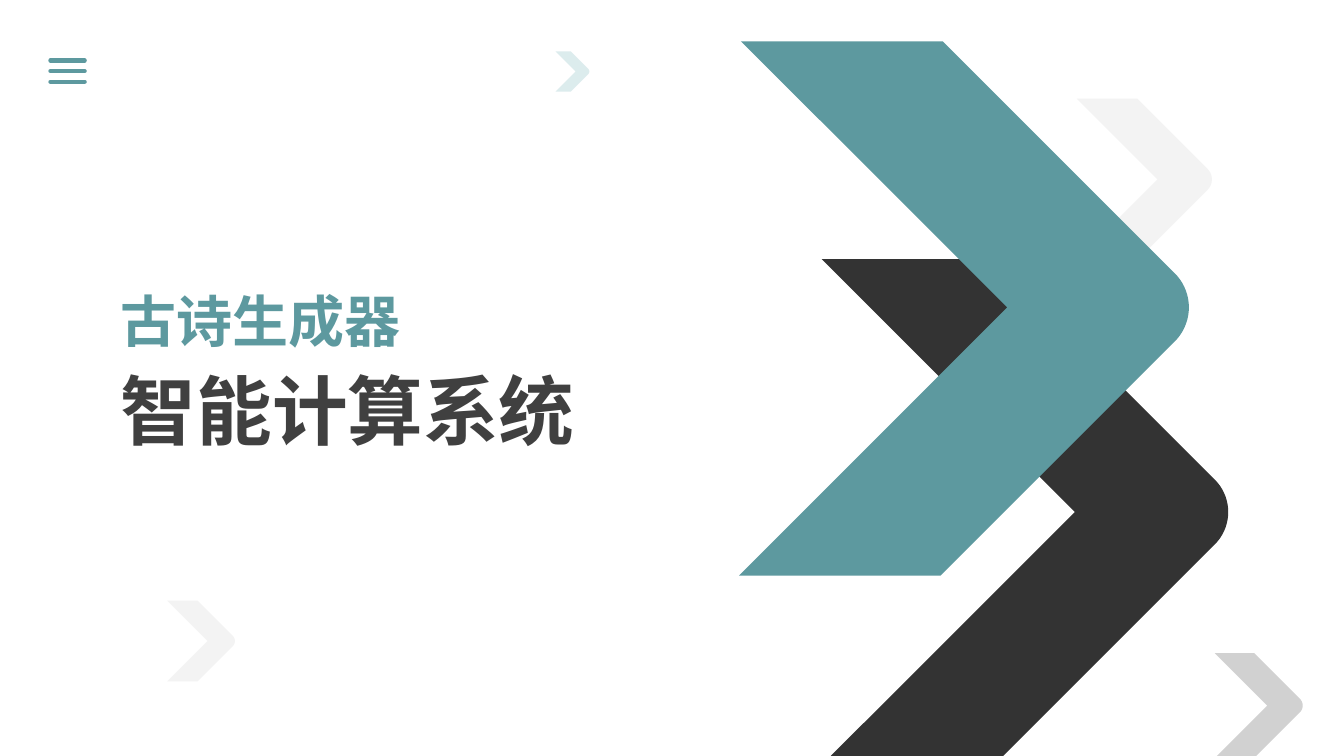
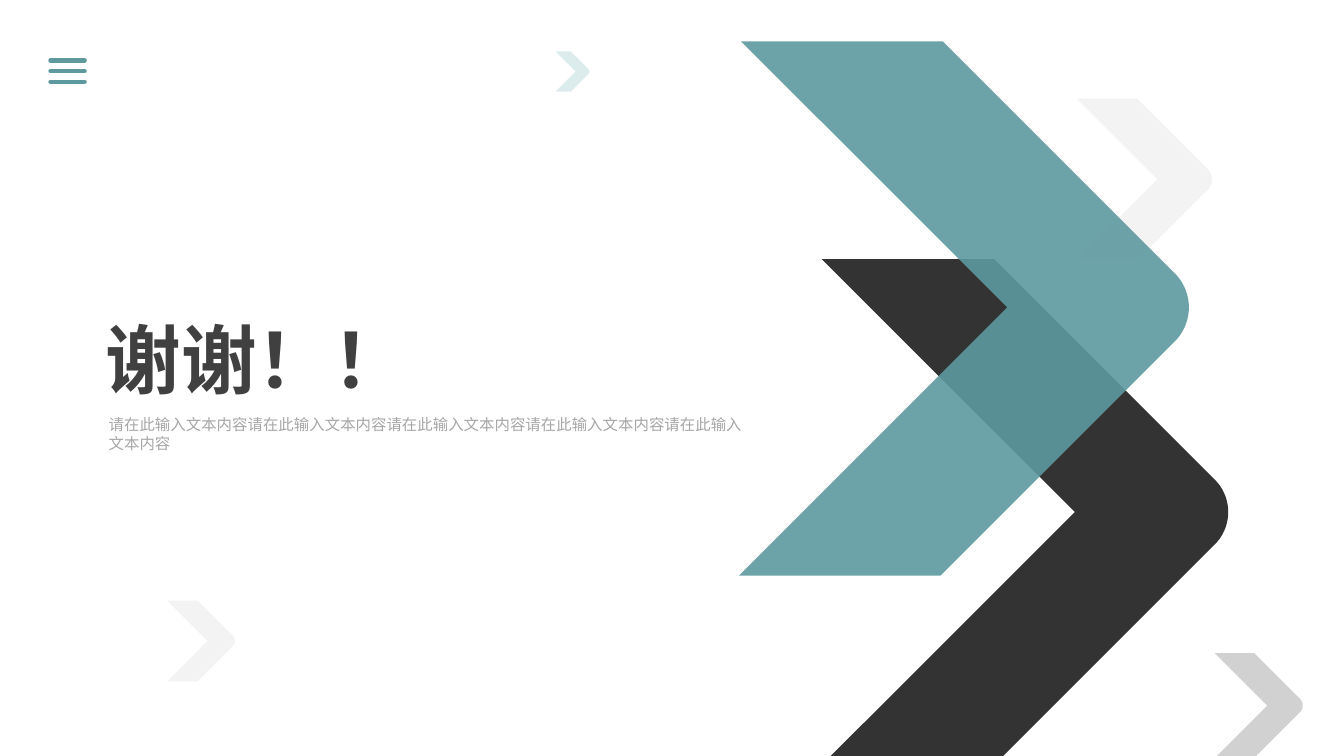
import math
from dataclasses import dataclass

import pptx
import pptx.dml.color
import pptx.enum.shapes
import pptx.enum.text
import pptx.oxml
import pptx.oxml.ns
import pptx.util

Inches = pptx.util.Inches
Pt = pptx.util.Pt
SLIDE_WIDTH, SLIDE_HEIGHT = 13.33, 7.5


@dataclass(frozen=True)
class Theme:
    teal: str = "5D999F"
    mist: str = "D9EAEC"
    black: str = "000000"
    silver: str = "CCCCCC"
    pale: str = "F2F2F2"
    heading: str = "404040"
    caption: str = "A6A6A6"
    heading_font: str = "TeX Gyre Adventor"
    caption_font: str = "Noto Sans CJK JP"
    title_size: float = 54
    topic_size: float = 40
    caption_size: float = 11
    caption_leading: float = 13.6
    menu_line: float = 3


THEME = Theme()


def rgb(colour):
    return pptx.dml.color.RGBColor.from_string(colour)


def add_child(parent, tag, **attributes):
    child = pptx.oxml.parse_xml(f"<a:{tag} {pptx.oxml.ns.nsdecls('a')}/>")
    for name, value in attributes.items():
        child.set(name, value)
    parent.append(child)


def add_text(slide, text, left, top, width, height, *, size, colour,
             font=THEME.heading_font, bold=False, wrap=True, leading=None):
    box = slide.shapes.add_textbox(*map(Inches, (left, top, width, height)))
    frame = box.text_frame
    frame.word_wrap = wrap
    frame.auto_size = pptx.enum.text.MSO_AUTO_SIZE.SHAPE_TO_FIT_TEXT
    paragraph = frame.paragraphs[0]
    if leading:
        paragraph.line_spacing = Pt(leading)
    run = paragraph.add_run()
    run.text = text
    run.font.size = Pt(size)
    run.font.bold = bold
    run.font.color.rgb = rgb(colour)
    run.font.name = font
    add_child(run.font._element, "ea", typeface=font)


def add_chevron(slide, left, top, reach, height, arm, colour, opacity=90):
    """Right-pointing 45-degree chevron; reach is the drop from its top to its notch."""
    middle = top + reach
    notch = left + reach
    foot = top + height
    foot_left = notch - (foot - middle)

    # The nose is a quarter circle tangent to both outer edges
    rise = 0.128 * reach
    radius = rise * math.sqrt(2)
    centre = notch + arm - 2 * rise
    nose = [(centre + radius * math.cos(math.radians(angle)),
             middle + radius * math.sin(math.radians(angle)))
            for angle in range(-45, 46, 5)]

    outline = [(left + arm, top), *nose, (foot_left + arm, foot),
               (foot_left, foot), (notch, middle)]
    builder = slide.shapes.build_freeform(Inches(left), Inches(top))
    builder.add_line_segments([(Inches(x), Inches(y)) for x, y in outline])
    chevron = builder.convert_to_shape()
    chevron.shadow.inherit = False
    chevron.line.fill.background()
    chevron.fill.solid()
    chevron.fill.fore_color.rgb = rgb(colour)
    if opacity < 100:
        fill_colour = chevron._element.spPr.find(".//" + pptx.oxml.ns.qn("a:srgbClr"))
        add_child(fill_colour, "alpha", val=str(opacity * 1000))


def add_menu_icon(slide):
    for row in range(3):
        y = Inches(0.6 + row * 0.21 / 2)
        bar = slide.shapes.add_connector(
            pptx.enum.shapes.MSO_CONNECTOR.STRAIGHT, Inches(0.5), y, Inches(0.84), y)
        bar.line.color.rgb = rgb(THEME.teal)
        bar.line.width = Pt(THEME.menu_line)
        bar.line._get_or_add_ln().set("cap", "rnd")
        add_child(bar._element.spPr, "effectLst")


def add_decorated_slide(deck, main_opacity):
    slide = deck.slides.add_slide(deck.slide_layouts[6])
    # Large overlapping chevrons
    add_chevron(slide, 10.68, 0.98, 0.8, 1.6, 0.6, THEME.pale)
    add_chevron(slide, 8.15, 2.57, 2.51, 4.93, 1.71, THEME.black, opacity=80)
    add_chevron(slide, 7.35, 0.41, 2.64, 5.3, 2, THEME.teal, opacity=main_opacity)
    # Small accents
    add_chevron(slide, 12.05, 6.48, 0.52, 1.02, 0.39, THEME.silver)
    add_chevron(slide, 1.66, 5.96, 0.4, 0.8, 0.3, THEME.pale)
    add_chevron(slide, 5.51, 0.51, 0.2, 0.4, 0.15, THEME.mist)
    add_menu_icon(slide)
    return slide


def add_title(slide, text, left, top):
    add_text(slide, text, left, top, 6.89, 1.01, size=THEME.title_size,
             colour=THEME.heading, bold=True)


def main():
    deck = pptx.Presentation()
    deck.slide_width = Inches(SLIDE_WIDTH)
    deck.slide_height = Inches(SLIDE_HEIGHT)

    # Cover
    cover = add_decorated_slide(deck, main_opacity=100)
    add_text(cover, "古诗生成器", 1.1, 2.79, 3.01, 0.77, size=THEME.topic_size,
             colour=THEME.teal, bold=True, wrap=False)
    add_title(cover, "智能计算系统", 1.1, 3.56)

    # Closing
    closing = add_decorated_slide(deck, main_opacity=90)
    add_title(closing, "谢谢！！", 0.95, 3.06)
    add_text(closing, "请在此输入文本内容" * 5, 0.98, 4.06, 6.63, 0.66,
             size=THEME.caption_size, colour=THEME.caption,
             font=THEME.caption_font, leading=THEME.caption_leading)

    deck.save("out.pptx")


if __name__ == "__main__":
    main()
